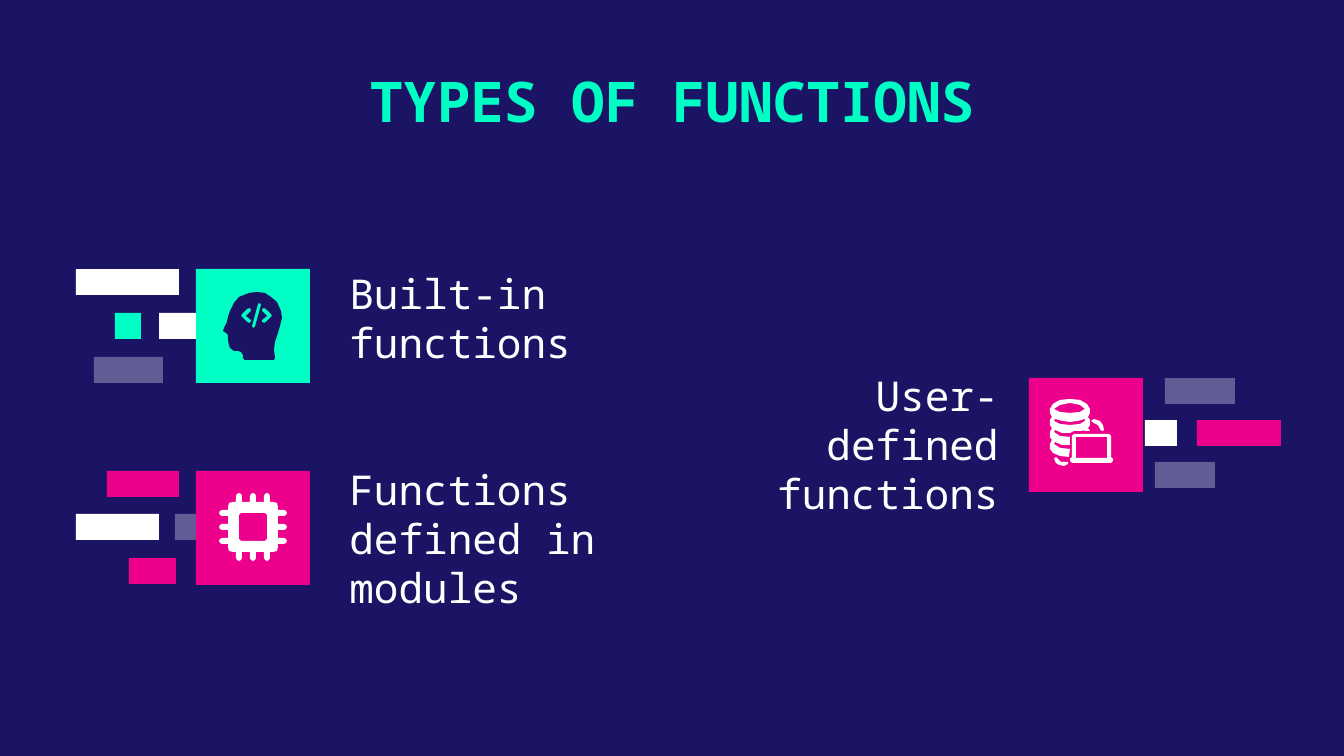
"""Build the slide that lists three types of functions."""
from dataclasses import dataclass

from lxml import etree
from pptx import Presentation
from pptx import util as u
from pptx.dml.color import RGBColor
from pptx.enum import shapes, text
from pptx.oxml.ns import qn

PX = 9144000 / 1344
FONT = "Noto Sans Mono"
COLORS = {"navy": "1B1464", "mint": "00FFC5", "pink": "EC008C", "white": "FFFFFF"}
BAR_HEIGHT = 26
TILE_SIZE = 114
LINE_HEIGHT = 49
LEFT, RIGHT = text.PP_ALIGN.LEFT, text.PP_ALIGN.RIGHT


@dataclass
class Bar:
    left: int
    top: int
    width: int
    color: str
    alpha: int = 100


@dataclass
class Tile:
    left: int
    top: int
    color: str


@dataclass
class Label:
    wording: str
    left: int
    top: int
    align: text.PP_ALIGN
    bottom_inset: int = 0


BARS = [
    Bar(76, 269, 103, "white"),
    Bar(115, 313, 26, "mint"),
    Bar(159, 313, 48, "white"),
    Bar(94, 357, 69, "white", 31),
    Bar(107, 471, 72, "pink"),
    Bar(76, 514, 83, "white"),
    Bar(175, 514, 32, "white", 31),
    Bar(129, 558, 47, "pink"),
    Bar(1165, 378, 70, "white", 31),
    Bar(1145, 420, 32, "white"),
    Bar(1197, 420, 84, "pink"),
    Bar(1155, 462, 60, "white", 31),
]
TILES = [Tile(196, 269, "mint"), Tile(196, 471, "pink"), Tile(1029, 378, "pink")]
LABELS = [
    Label("Built-in functions", 336, 315, LEFT),
    Label("Functions defined in modules", 336, 609, LEFT, LINE_HEIGHT),
    Label("User-defined functions", 693, 515, RIGHT, LINE_HEIGHT),
]

HEAD = [
    (257, 292), (249, 293), (239, 297), (234, 303), (230, 311), (228, 317), (227, 322),
    (224, 328), (223, 331), (226, 333), (228, 335), (228, 340), (229, 345), (230, 348),
    (234, 351), (238, 351), (241, 352), (243, 355), (243, 358), (245, 360), (274, 360),
    (275, 358), (275, 357), (274, 350), (275, 342), (278, 333), (280, 326), (282, 318),
    (281, 311), (277, 302), (271, 297), (265, 293),
]
CHEVRON = [
    (249, 308), (251, 309), (251, 311), (246, 316), (251, 320), (251, 322),
    (249, 323), (247, 322), (242, 317), (241, 316), (242, 314), (247, 309),
]
SLASH = [(259, 303), (261, 304), (261, 305), (255, 327), (253, 328), (252, 326), (258, 304)]
DISKS = [
    (1070, 399), (1060, 400), (1053, 404), (1050, 409), (1050, 413), (1052, 417),
    (1050, 420), (1050, 425), (1052, 428), (1050, 432), (1050, 437), (1052, 440),
    (1050, 444), (1050, 449), (1053, 453), (1060, 456), (1069, 457), (1070, 449),
    (1060, 448), (1054, 444), (1055, 442), (1062, 445), (1070, 445), (1070, 437),
    (1060, 436), (1054, 432), (1055, 430), (1062, 433), (1070, 433), (1074, 431),
    (1082, 431), (1084, 430), (1084, 431), (1090, 431), (1088, 428), (1090, 425),
    (1090, 420), (1088, 417), (1090, 413), (1090, 409), (1087, 404), (1080, 400),
]
DISK_TOP = [
    (1070, 403), (1080, 405), (1085, 409), (1080, 412),
    (1070, 413), (1060, 412), (1054, 409), (1060, 405),
]
DISK_GAP = [
    (1085, 419), (1085, 421), (1080, 424), (1070, 425), (1060, 424),
    (1054, 421), (1055, 419), (1062, 421), (1070, 422), (1078, 421),
]
LAPTOP = [
    (1074, 434), (1109, 434), (1111, 436), (1111, 457), (1113, 459), (1113, 461),
    (1111, 463), (1072, 463), (1070, 461), (1070, 459), (1072, 457), (1072, 436),
]
SCREEN = [(1076, 437), (1107, 437), (1107, 458), (1076, 458)]
UPPER_ARC = [
    (1094, 419), (1091, 421), (1094, 423), (1098, 425), (1100, 429),
    (1102, 431), (1104, 430), (1103, 425), (1100, 421),
]
LOWER_ARC = [
    (1056, 457), (1054, 459), (1056, 463), (1059, 465), (1064, 466),
    (1068, 464), (1068, 462), (1066, 462), (1061, 462), (1058, 459),
]


def px(length: int) -> int:
    """Turn px into EMU."""
    return round(length * PX)


def rgb(color: str) -> RGBColor:
    """Look up a named colour."""
    return RGBColor.from_string(COLORS[color])


def paint(shape, color: str, alpha: int = 100) -> None:
    """Give a shape a plain fill with no line or shadow."""
    shape.shadow.inherit = False
    shape.line.fill.background()
    shape.fill.solid()
    shape.fill.fore_color.rgb = rgb(color)
    if alpha < 100:
        tone = shape.fill._xPr.find(".//" + qn("a:srgbClr"))
        etree.SubElement(tone, qn("a:alpha"), val=str(alpha * 1000))


def draw_rect(parent, left: int, top: int, width: int, height: int, color: str, alpha: int = 100) -> None:
    """Draw a filled rectangle."""
    rect = parent.add_shape(shapes.MSO_SHAPE.RECTANGLE, px(left), px(top), px(width), px(height))
    paint(rect, color, alpha)


def draw_outline(parent, contours: list, color: str) -> None:
    """Draw closed contours as one shape, with inner ones as holes."""
    builder = parent.build_freeform(*contours[0][0], scale=PX)
    for number, contour in enumerate(contours):
        if number:
            builder.move_to(*contour[0])
        builder.add_line_segments(contour[1:], close=True)
    paint(builder.convert_to_shape(), color)


def four_sides(side: list, center: tuple) -> list:
    """Turn one side of a square outline around its centre."""
    outline = []
    for _ in range(4):
        outline += [(center[0] + x, center[1] + y) for x, y in side]
        side = [(-y, x) for x, y in side]
    return outline


def chip(center: tuple) -> list:
    """Give the contours of a chip with three pins on each side."""
    pin = [(-3, -25), (-3, -31), (-2, -33), (0, -34), (2, -33), (3, -31), (3, -25)]
    side = [(x + shift, y) for shift in (-14, 0, 14) for x, y in pin]
    side += [(20, -25), (24, -24), (25, -20)]
    return [four_sides(side, center), four_sides([(-12, -14), (12, -14)], center)]


def write(holder, box: tuple, wording: str, size: int, color: str, bold: bool, align) -> None:
    """Place a placeholder and set its single paragraph."""
    holder.left, holder.top, holder.width, holder.height = map(px, box)
    frame = holder.text_frame
    frame.text = wording
    frame.word_wrap = True
    frame.auto_size = text.MSO_AUTO_SIZE.NONE
    paragraph = frame.paragraphs[0]
    paragraph.alignment = align
    paragraph.space_before = u.Pt(0)
    properties = paragraph._p.get_or_add_pPr()
    properties.set("marL", "0")
    properties.set("indent", "0")
    etree.SubElement(properties, qn("a:buNone"))
    font = paragraph.runs[0].font
    font.name, font.size, font.bold = FONT, u.Pt(size), bold
    font.color.rgb = rgb(color)


def write_label(holder, label: Label) -> None:
    """Write one function type, standing on the bottom of its box."""
    write(holder, (label.left, label.top, 319, 52), label.wording, 22, "white", False, label.align)
    frame = holder.text_frame
    frame.vertical_anchor = text.MSO_ANCHOR.BOTTOM
    frame.margin_top, frame.margin_bottom = 0, px(label.bottom_inset)


def main() -> None:
    """Build and save the slide."""
    deck = Presentation()
    deck.slide_width, deck.slide_height = px(1344), px(756)
    slide = deck.slides.add_slide(deck.slide_layouts[4])
    slide.background.fill.solid()
    slide.background.fill.fore_color.rgb = rgb("navy")
    title, *bodies = slide.placeholders
    write(title, (188, 51, 968, 98), "TYPES OF FUNCTIONS", 30, "mint", True, text.PP_ALIGN.CENTER)
    for holder, label in zip(bodies, LABELS):
        write_label(holder, label)
    for spare in bodies[len(LABELS):]:
        spare.element.getparent().remove(spare.element)
    for bar in BARS:
        draw_rect(slide.shapes, bar.left, bar.top, bar.width, BAR_HEIGHT, bar.color, bar.alpha)
    for tile in TILES:
        draw_rect(slide.shapes, tile.left, tile.top, TILE_SIZE, TILE_SIZE, tile.color)
    mirrored = [(513 - x, y) for x, y in CHEVRON]
    draw_outline(slide.shapes, [HEAD, CHEVRON, mirrored, SLASH], "navy")
    draw_outline(slide.shapes, chip((253, 527)), "white")
    database = slide.shapes.add_group_shape().shapes
    for contours in ([LOWER_ARC], [UPPER_ARC], [DISKS, DISK_TOP, DISK_GAP], [LAPTOP, SCREEN]):
        draw_outline(database, contours, "white")
    deck.save("out.pptx")


if __name__ == "__main__":
    main()
